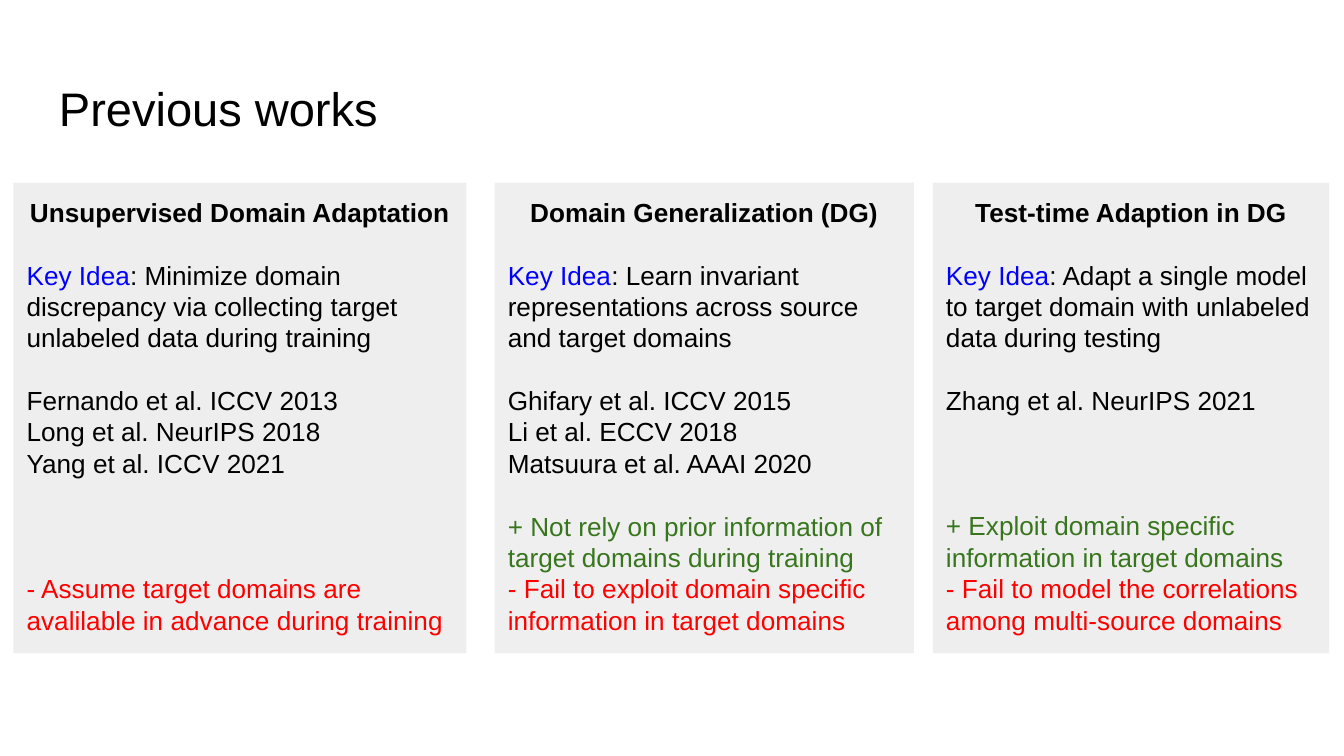
from pptx import Presentation
from pptx.dml.color import RGBColor
from pptx.enum.shapes import MSO_SHAPE
from pptx.enum.text import MSO_ANCHOR, PP_ALIGN
from pptx.util import Inches, Pt

THEME = {
    "font": "Arial", "title": 25.2, "body": 14, "line": 16.8,
    "black": "000000", "blue": "0000FF", "green": "38761D", "red": "FF0000",
    "light": "EEEEEE", "mid": "EFEFEF",
}
TITLE = "Previous works"
TOP, HEIGHT = 1.36, 3.5

# Each card: left, width, fill, heading, key idea, papers, pros and cons.
CARDS = [
    (0.1, 3.37, "light", "Unsupervised Domain Adaptation",
     "Minimize domain discrepancy via collecting target unlabeled data during training",
     ["Fernando et al. ICCV 2013", "Long et al. NeurIPS 2018", "Yang et al. ICCV 2021"],
     ["- Assume target domains are avalilable in advance during training"]),
    (3.68, 3.12, "mid", "Domain Generalization (DG)",
     "Learn invariant representations across source and target domains",
     ["Ghifary et al. ICCV 2015", "Li et al. ECCV 2018", "Matsuura et al. AAAI 2020"],
     ["+ Not rely on prior information of target domains during training",
      "- Fail to exploit domain specific information in target domains"]),
    (6.94, 2.95, "light", "Test-time Adaption in DG",
     "Adapt a single model to target domain with unlabeled data during testing",
     ["Zhang et al. NeurIPS 2021"],
     ["+ Exploit domain specific information in target domains",
      "- Fail to model the correlations among multi-source domains"]),
]
SIGNS = {"+": "green", "-": "red"}
PAPER_ROWS, POINT_ROWS, POINT_LINES = 3, 2, 2


def color(name):
    return RGBColor.from_string(THEME[name])


def set_frame(shape, anchor):
    frame = shape.text_frame
    inset = Inches(0.1)
    form = {"word_wrap": True, "vertical_anchor": anchor,
            "margin_left": inset, "margin_right": inset,
            "margin_top": inset, "margin_bottom": inset}
    for key, value in form.items():
        setattr(frame, key, value)
    return frame


def add_run(para, text, tone="black", size="body", bold=False):
    run = para.add_run()
    run.text = text
    form = {"name": THEME["font"], "size": Pt(THEME[size]), "bold": bold}
    for key, value in form.items():
        setattr(run.font, key, value)
    run.font.color.rgb = color(tone)


def add_line(frame, runs, gap=0, align=PP_ALIGN.LEFT, bold=False):
    """Add a paragraph, with a gap above it counted in text lines."""
    para = frame.paragraphs[0]
    if para.runs:
        para = frame.add_paragraph()
    form = {"alignment": align, "line_spacing": Pt(THEME["line"]),
            "space_before": Pt(gap * THEME["line"]), "space_after": Pt(0)}
    for key, value in form.items():
        setattr(para, key, value)
    for text, tone in runs:
        add_run(para, text, tone, bold=bold)


def add_card(slide, left, width, fill, head, idea, papers, points):
    card = slide.shapes.add_shape(
        MSO_SHAPE.RECTANGLE, Inches(left), Inches(TOP), Inches(width), Inches(HEIGHT))
    card.shadow.inherit = False
    card.fill.solid()
    card.fill.fore_color.rgb = color(fill)
    card.line.fill.background()
    frame = set_frame(card, MSO_ANCHOR.TOP)

    add_line(frame, [(head, "black")], align=PP_ALIGN.CENTER, bold=True)
    add_line(frame, [("Key Idea", "blue"), (f": {idea}", "black")], gap=1)
    for row, paper in enumerate(papers):
        add_line(frame, [(paper, "black")], gap=int(row == 0))
    # Points share a bottom edge, so missing rows widen the gap above them
    spare = (1 + PAPER_ROWS - len(papers)
             + POINT_LINES * (POINT_ROWS - len(points)))
    for row, point in enumerate(points):
        add_line(frame, [(point, SIGNS[point[0]])], gap=0 if row else spare)


def main():
    deck = Presentation()
    # Widescreen, 16 to 9
    deck.slide_width = Inches(10)
    deck.slide_height = deck.slide_width * 9 // 16
    slide = deck.slides.add_slide(deck.slide_layouts[6])

    # Title
    box = slide.shapes.add_textbox(Inches(0.34), Inches(0.49), Inches(9.32), Inches(0.63))
    frame = set_frame(box, MSO_ANCHOR.MIDDLE)
    add_run(frame.paragraphs[0], TITLE, size="title")

    # Cards
    for card in CARDS:
        add_card(slide, *card)
    deck.save("out.pptx")


if __name__ == "__main__":
    main()
